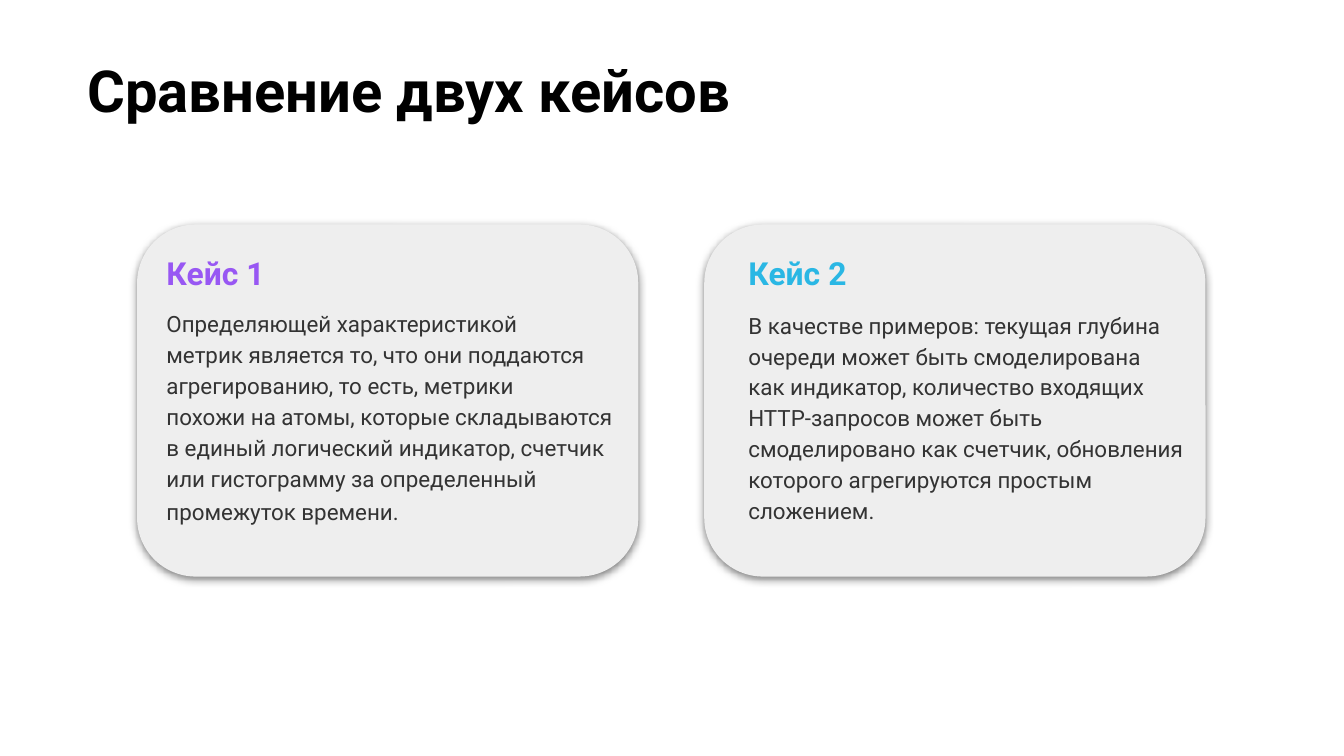
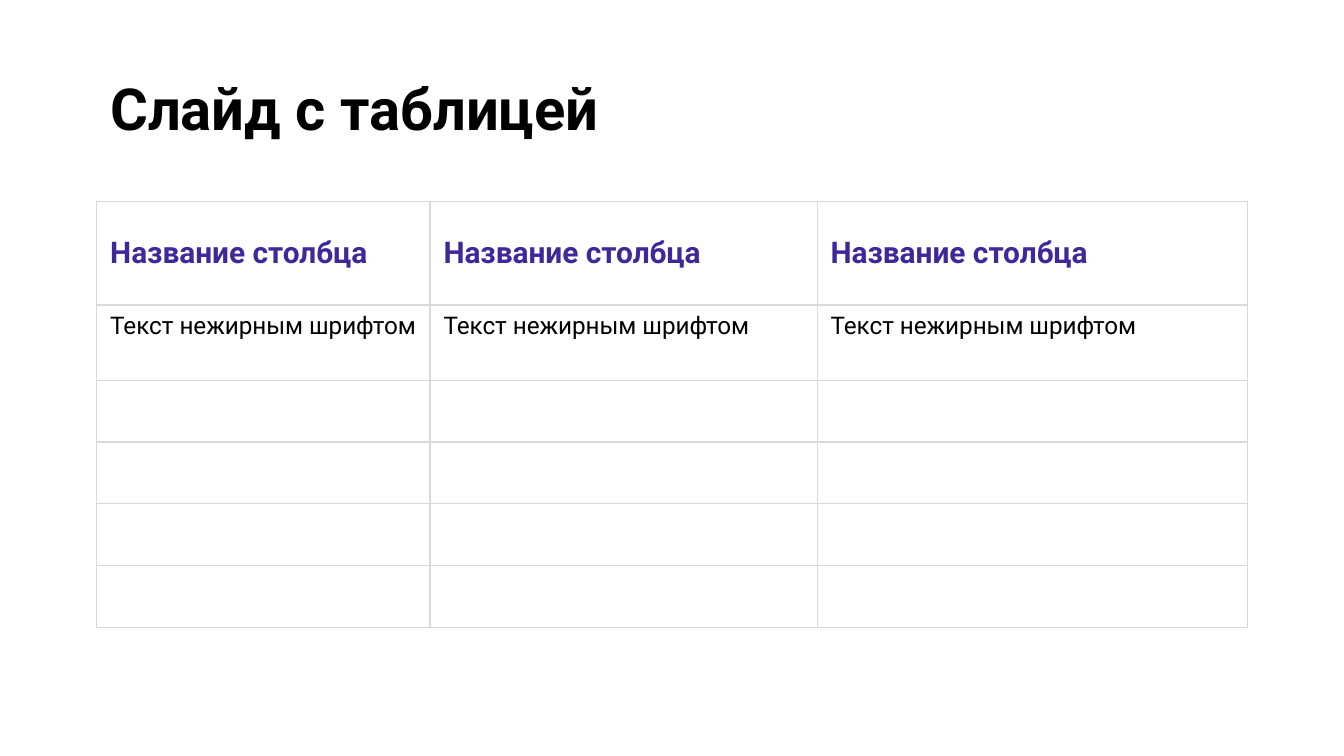
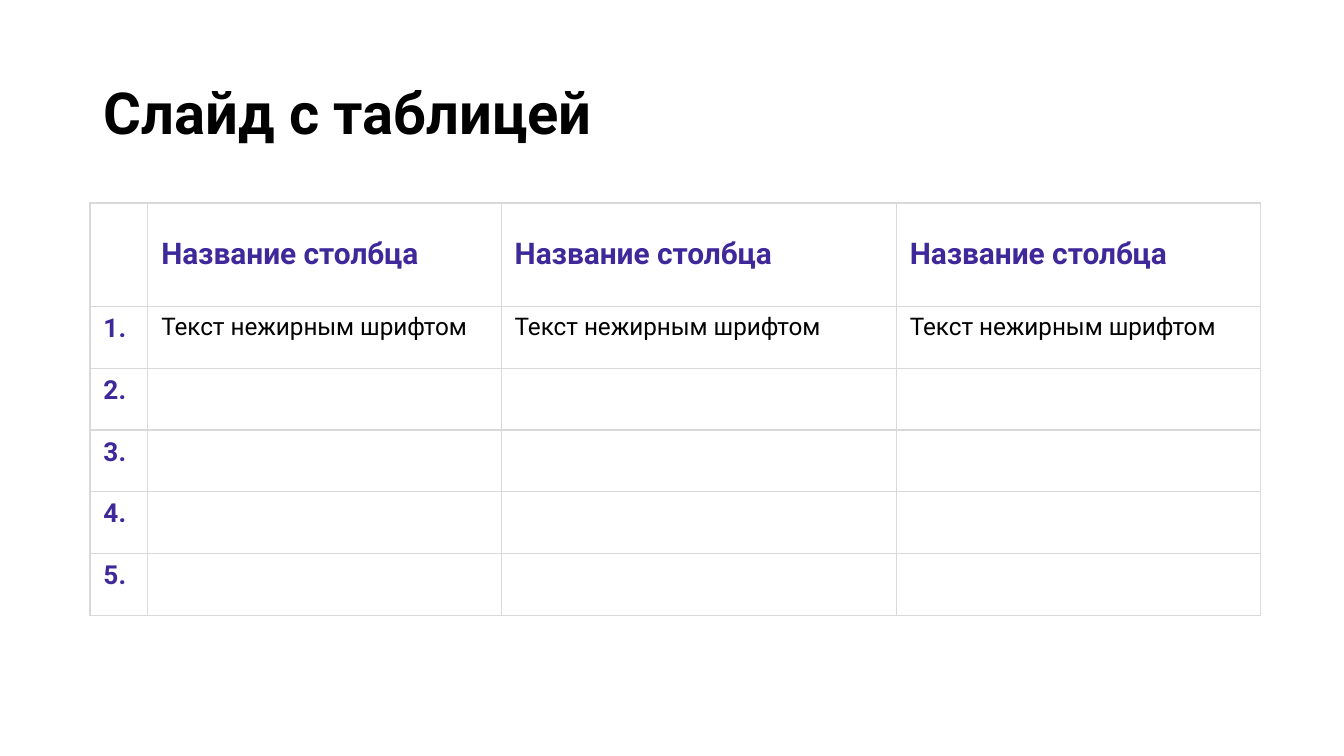
from lxml.etree import SubElement
from pptx import Presentation
from pptx.dml.color import RGBColor
from pptx.enum.shapes import MSO_SHAPE
from pptx.enum.text import MSO_ANCHOR, MSO_AUTO_SIZE, PP_ALIGN
from pptx.oxml.ns import qn
from pptx.util import Inches, Pt

FONT = "Roboto"
COLORS = {
    "black": "000000", "white": "FFFFFF", "text": "333333", "card": "EEEEEE",
    "violet": "9857F3", "cyan": "2AB7E4", "heading": "3F299A", "grid": "D9D9D9",
}

# Content
CASES_TITLE = ("Сравнение двух кейсов", 0.55, 0.31)
CASES = [
    {"name": "Кейс 1", "color": "violet", "card_left": 1.02, "text_left": 1.14,
     "text_top": 2.18, "text_width": 3.73, "end_size": 13, "text": [
         "Определяющей характеристикой",
         "метрик является то, что они поддаются агрегированию, то есть, метрики",
         "похожи на атомы, которые складываются",
         "в единый логический индикатор, счетчик или гистограмму за определенный "
         "промежуток времени."]},
    {"name": "Кейс 2", "color": "cyan", "card_left": 5.24, "text_left": 5.47,
     "text_top": 2.19, "text_width": 3.5, "end_size": None, "text": [
         "В качестве примеров: текущая глубина очереди может быть смоделирована",
         "как индикатор, количество входящих",
         "HTTP-запросов может быть смоделировано как счетчик, обновления которого "
         "агрегируются простым сложением."]},
]
HEADER = ["Название столбца"] * 3
SAMPLE = ["Текст нежирным шрифтом"] * 3
BLANK = [""] * 3
TABLES = [
    {"title": ("Слайд с таблицей", 0.72, 0.44), "at": (0.72, 1.5), "numbered": False,
     "columns": [2.48, 2.88, 3.2], "rows": [0.77, 0.56] + [0.46] * 4,
     "cells": [HEADER, SAMPLE] + [BLANK] * 4},
    {"title": ("Слайд с таблицей", 0.67, 0.47), "at": (0.67, 1.51), "numbered": True,
     "columns": [0.43, 2.63, 2.94, 2.71], "rows": [0.77] + [0.46] * 5,
     "cells": [["", *HEADER], ["1.", *SAMPLE]]
              + [[f"{number}.", *BLANK] for number in range(2, 6)]},
]


def rgb(name):
    return RGBColor.from_string(COLORS[name])


def style(para, size, color, bold=False):
    para.alignment = PP_ALIGN.LEFT
    font = para.font
    font.name, font.size, font.bold = FONT, Pt(size), bold
    font.color.rgb = rgb(color)


def set_insets(frame):
    frame.margin_left = frame.margin_right = Inches(0.1)
    frame.margin_top = frame.margin_bottom = Inches(0.1)
    frame.word_wrap = True


def add_page(deck, text, left, top):
    page = deck.slides.add_slide(deck.slide_layouts[5])
    title = page.shapes.title
    title.left, title.top = Inches(left), Inches(top)
    title.width, title.height = Inches(9.31), Inches(1.19)
    frame = title.text_frame
    frame.text = text
    set_insets(frame)
    frame.auto_size = MSO_AUTO_SIZE.NONE
    frame.vertical_anchor = MSO_ANCHOR.TOP
    style(frame.paragraphs[0], 31, "black", True)
    return page


def add_text(page, at, lines, size, color, bold=False, spacing=None):
    frame = page.shapes.add_textbox(*map(Inches, at)).text_frame
    set_insets(frame)
    frame.text = "\n".join(lines)
    for para in frame.paragraphs:
        style(para, size, color, bold)
        para.line_spacing = spacing
    return frame


def add_card(page, left):
    card = page.shapes.add_shape(MSO_SHAPE.ROUNDED_RECTANGLE, Inches(left),
                                 Inches(1.67), Inches(3.73), Inches(2.62))
    card.adjustments[0] = 0.167
    card.fill.solid()
    card.fill.fore_color.rgb = rgb("card")
    card.line.fill.background()
    # Soft shadow straight below the card
    card.shadow.inherit = False
    effects = card._element.spPr.find(qn("a:effectLst"))
    shadow = SubElement(effects, qn("a:outerShdw"), blurRad=str(Pt(4.5)),
                        dist=str(Pt(1.5)), dir="5400000", algn="bl", rotWithShape="0")
    tint = SubElement(shadow, qn("a:srgbClr"), val=COLORS["black"])
    SubElement(tint, qn("a:alpha"), val="50000")


def add_borders(cell):
    properties = cell._tc.get_or_add_tcPr()
    for side in ("L", "R", "T", "B"):
        line = SubElement(properties, qn(f"a:ln{side}"), w=str(Pt(0.75)))
        fill = SubElement(line, qn("a:solidFill"))
        SubElement(fill, qn("a:srgbClr"), val=COLORS["grid"])


def add_grid(page, grid):
    widths, heights = grid["columns"], grid["rows"]
    left, top = grid["at"]
    table = page.shapes.add_table(
        len(heights), len(widths), Inches(left), Inches(top),
        Inches(sum(widths)), Inches(sum(heights))).table
    table.first_row = table.horz_banding = False
    for column, width in zip(table.columns, widths):
        column.width = Inches(width)
    for row, height in zip(table.rows, heights):
        row.height = Inches(height)

    for row_index, texts in enumerate(grid["cells"]):
        for column_index, text in enumerate(texts):
            cell = table.cell(row_index, column_index)
            add_borders(cell)
            if row_index == 0:
                cell.fill.solid()
                cell.fill.fore_color.rgb = rgb("white")
                cell.vertical_anchor = MSO_ANCHOR.MIDDLE
                look = (16, "heading", True)
            else:
                cell.fill.background()
                is_number = grid["numbered"] and column_index == 0
                look = (14, "heading", True) if is_number else (13, "black")
            if text:
                cell.text = text
                style(cell.text_frame.paragraphs[0], *look)


def main():
    deck = Presentation()
    deck.slide_width = Inches(10)
    deck.slide_height = deck.slide_width * 9 // 16

    # Two cases side by side
    page = add_page(deck, *CASES_TITLE)
    for case in CASES:
        add_card(page, case["card_left"])
        frame = add_text(
            page, (case["text_left"], case["text_top"], case["text_width"], 2.27),
            case["text"], 12, "text", spacing=1.15)
        if case["end_size"]:
            # A larger closing space makes the last line slightly taller
            span = frame.paragraphs[-1].add_run()
            span.text = " "
            span.font.size = Pt(case["end_size"])
        add_text(page, (case["text_left"], 1.79, 1.62, 0.48),
                 [case["name"]], 17, case["color"], bold=True)

    # Table slides, without and with row numbers
    for table in TABLES:
        add_grid(add_page(deck, *table["title"]), table)

    deck.save("out.pptx")


if __name__ == "__main__":
    main()
